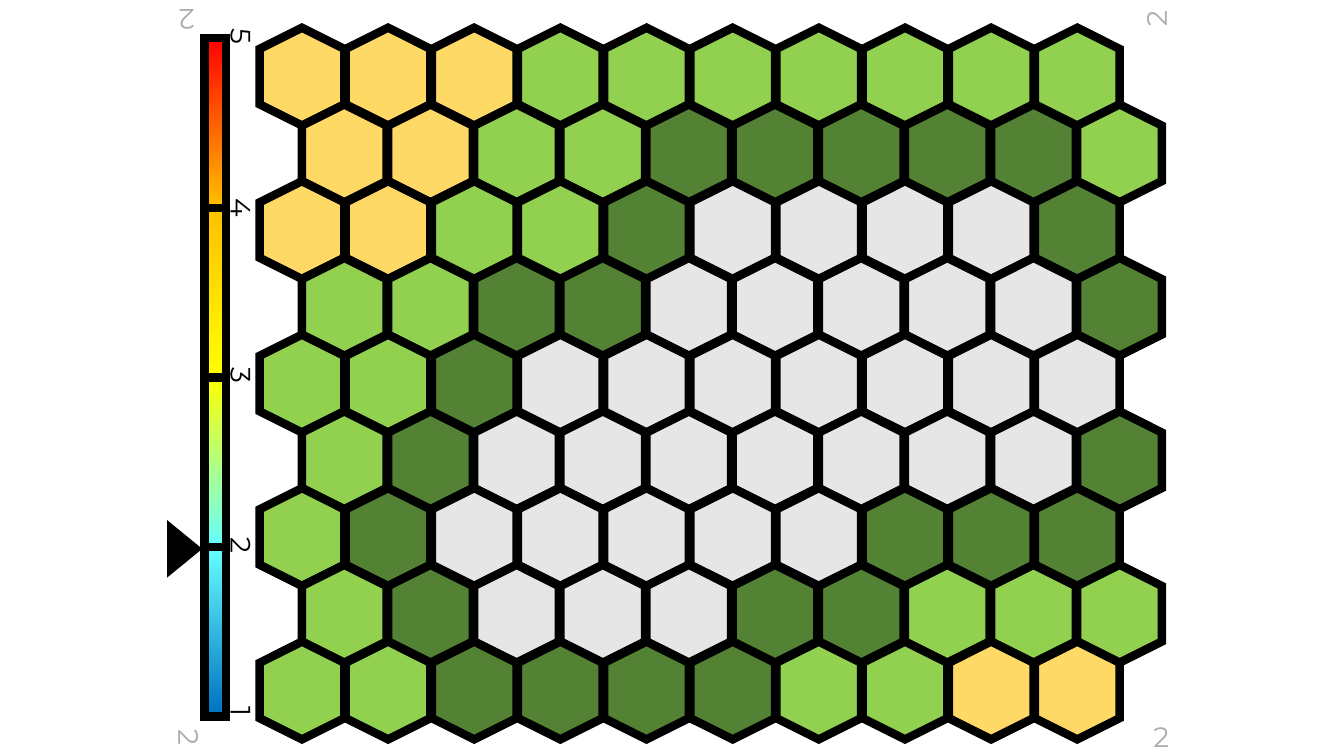
from dataclasses import dataclass

from lxml.etree import SubElement
from pptx import Presentation
from pptx.dml.color import RGBColor
from pptx.enum.shapes import MSO_CONNECTOR, MSO_SHAPE
from pptx.enum.text import MSO_AUTO_SIZE
from pptx.oxml.ns import qn
from pptx.shapes.autoshape import Shape
from pptx.slide import Slide
from pptx.util import Inches, Pt

BLACK = RGBColor(0x00, 0x00, 0x00)
GREY = RGBColor(0xAF, 0xAB, 0xAB)
TILES = {
    "Y": RGBColor(0xFF, 0xD9, 0x66),
    "L": RGBColor(0x92, 0xD0, 0x50),
    "D": RGBColor(0x54, 0x82, 0x35),
    "W": RGBColor(0xE7, 0xE6, 0xE6),
}
HEAT = [
    RGBColor(0xFF, 0x00, 0x00),
    RGBColor(0xFF, 0xC0, 0x00),
    RGBColor(0xFF, 0xFF, 0x00),
    RGBColor(0x66, 0xFF, 0xFF),
    RGBColor(0x00, 0x70, 0xC0),
]
BOARD = [
    "YYYLLLLLLL",
    "YYLLDDDDDL",
    "YYLLDWWWWD",
    "LLDDWWWWWD",
    "LLDWWWWWWW",
    "LDWWWWWWWD",
    "LDWWWWWDDD",
    "LDWWWDDLLL",
    "LLDDDDLLYY",
]


@dataclass
class Box:
    left: float
    top: float
    width: float
    height: float
    turn: int = 0


@dataclass
class Label:
    text: str
    left: float
    top: float
    turn: int
    color: RGBColor


BAR = Box(2.03, 0.38, 0.21, 6.73)
STEP = BAR.height / 4
STEP_X = (10.2 - 2.51) / 9
STEP_Y = (6.43 - 0.34) / 8

LABELS = [
    Label(str(5 - i), 2.2, 0.16 + STEP * i, 90, BLACK) for i in range(5)
] + [
    Label("2", 1.68, 7.11, 90, GREY),
    Label("2", 11.34, 7.09, 0, GREY),
    Label("2", 11.27, -0.05, 270, GREY),
    Label("2", 1.64, -0.02, 180, GREY),
]


def add_form(slide: Slide, kind: MSO_SHAPE, box: Box, width: float = 6) -> Shape:
    form = slide.shapes.add_shape(
        kind, Inches(box.left), Inches(box.top), Inches(box.width), Inches(box.height)
    )
    form.rotation = box.turn
    form.shadow.inherit = False
    form.line.color.rgb = BLACK
    form.line.width = Pt(width)
    edge = form.line._get_or_add_ln()
    SubElement(edge, qn("a:miter"), lim="800000")
    return form


def add_solid(
    slide: Slide, kind: MSO_SHAPE, box: Box, color: RGBColor, width: float = 6
) -> None:
    form = add_form(slide, kind, box, width)
    form.fill.solid()
    form.fill.fore_color.rgb = color


def add_board(slide: Slide) -> None:
    for row, line in enumerate(BOARD):
        for col, tile in enumerate(line):
            left = 2.51 + 0.42 * (row % 2) + STEP_X * col
            box = Box(left, 0.34 + STEP_Y * row, 0.97, 0.84, 270)
            add_solid(slide, MSO_SHAPE.HEXAGON, box, TILES[tile])


def add_scale(slide: Slide) -> None:
    bar = add_form(slide, MSO_SHAPE.RECTANGLE, BAR)
    bar.fill.gradient()
    bar.fill.gradient_angle = 270
    stops = bar._element.spPr.find(qn("a:gradFill")).find(qn("a:gsLst"))
    stops.clear()
    for i, color in enumerate(HEAT):
        stop = SubElement(stops, qn("a:gs"), pos=str(25000 * i))
        SubElement(stop, qn("a:srgbClr"), val=str(color))

    for i in range(1, 4):
        y = Inches(BAR.top + STEP * i)
        tick = slide.shapes.add_connector(
            MSO_CONNECTOR.STRAIGHT,
            Inches(BAR.left), y, Inches(BAR.left + BAR.width), y,
        )
        tick.line.color.rgb = BLACK
        tick.line.width = Pt(6)
        SubElement(tick._element.spPr, qn("a:effectLst"))
        if i == 2:
            tick.begin_connect(bar, 1)
            tick.end_connect(bar, 3)


def add_label(slide: Slide, label: Label) -> None:
    box = slide.shapes.add_textbox(
        Inches(label.left), Inches(label.top), Inches(0.39), Inches(0.44)
    )
    box.rotation = label.turn
    frame = box.text_frame
    frame.word_wrap = False
    frame.auto_size = MSO_AUTO_SIZE.SHAPE_TO_FIT_TEXT
    para = frame.paragraphs[0]
    para.text = label.text
    para.font.name = "Montserrat"
    para.font.size = Pt(20)
    para.font.color.rgb = label.color


def main() -> None:
    deck = Presentation()
    deck.slide_width = Inches(13.33)
    deck.slide_height = Inches(7.5)
    slide = deck.slides.add_slide(deck.slide_layouts[6])
    add_board(slide)
    add_scale(slide)
    mark = Box(1.56, 5.28, 0.54, 0.33, 90)
    add_solid(slide, MSO_SHAPE.ISOSCELES_TRIANGLE, mark, BLACK, 1)
    for label in LABELS:
        add_label(slide, label)
    deck.save("out.pptx")


if __name__ == "__main__":
    main()
